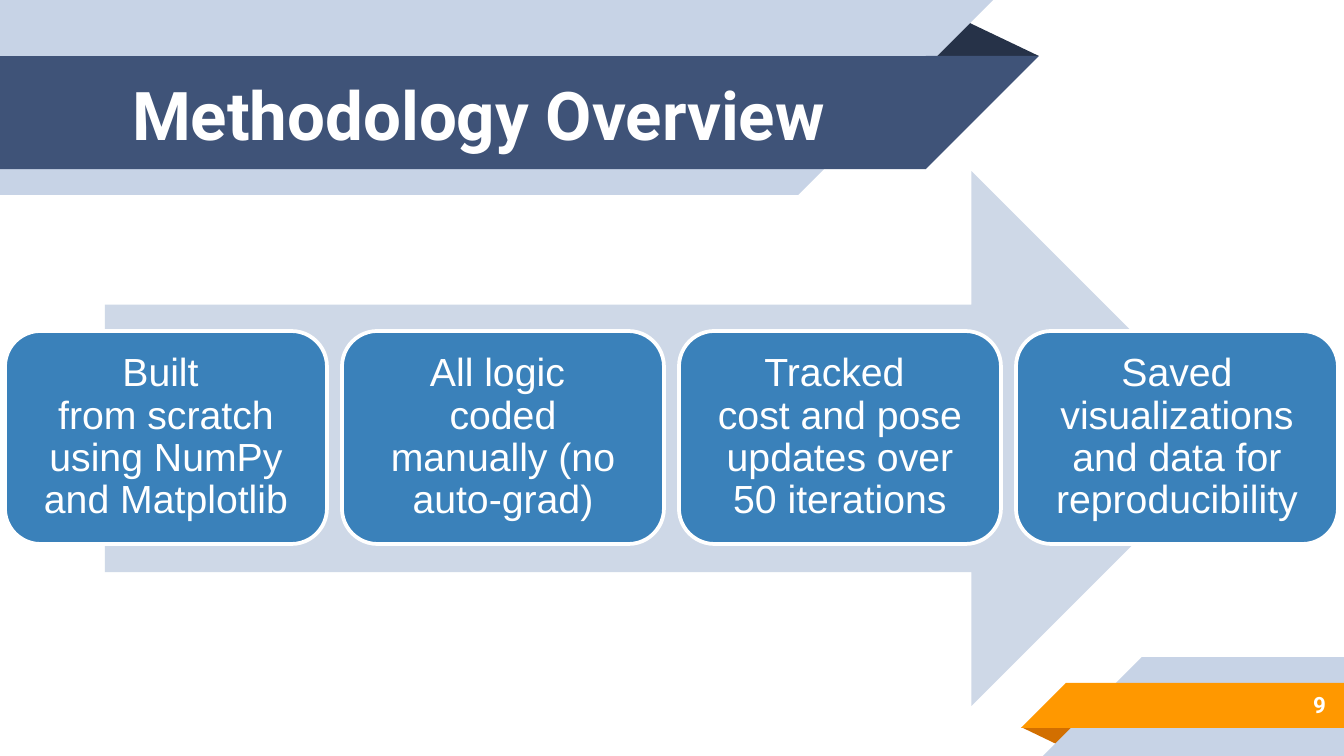
from lxml import etree
from pptx import Presentation
from pptx.dml.color import RGBColor as RGB
from pptx.enum.shapes import MSO_SHAPE as SHAPE
from pptx.enum.text import MSO_ANCHOR as ANCHOR, PP_ALIGN as ALIGN
from pptx.oxml.ns import qn
from pptx.util import Emu, Pt

THEME = {
    "pale": "C7D3E6", "navy": "3F5378", "navy_fold": "263248",
    "orange": "FF9800", "orange_fold": "D26F00",
    "arrow": "CED8E7", "step": "3A81BA", "white": "FFFFFF",
    "heading_font": "Roboto", "body_font": "Arial",
    "title_size": 36, "step_size": 21, "number_size": 12,
}
SCALE = 9144000 / 1344  # EMU per px

prs = Presentation()
prs.slide_width, prs.slide_height = Emu(int(1344 * SCALE)), Emu(int(756 * SCALE))
slide = prs.slides.add_slide(prs.slide_layouts[6])


def add_block(kind, box, color, rotation=0, flip=False):
    block = slide.shapes.add_shape(kind, *(Emu(round(v * SCALE)) for v in box))
    block.shadow.inherit = False
    block.fill.solid()
    block.fill.fore_color.rgb = RGB.from_string(THEME[color])
    block.line.fill.background()
    block.rotation = rotation
    if flip:
        block.element.spPr.find(qn("a:xfrm")).set("flipH", "1")
    return block


def write(holder, text, size, font="body_font", bold=False, align=ALIGN.LEFT,
          inset=13, spacing=1.0):
    frame = holder.text_frame
    frame.word_wrap = True
    frame.vertical_anchor = ANCHOR.MIDDLE
    frame.margin_left = frame.margin_right = Emu(round(inset * SCALE))
    frame.margin_top = frame.margin_bottom = Emu(round(inset * SCALE))
    paragraph = frame.paragraphs[0]
    paragraph.text = text
    paragraph.alignment = align
    paragraph.line_spacing = spacing
    for run in paragraph.runs:
        run.font.size = Pt(THEME[size])
        run.font.name = THEME[font]
        run.font.bold = bold
        run.font.color.rgb = RGB.from_string(THEME["white"])
    return paragraph


# Title banner: slanted bands, right angles turned to the top left
banner_fold = add_block(SHAPE.ISOSCELES_TRIANGLE, (925, 19, 114, 37), "navy_fold")
banner_fold.adjustments[0] = 0.32
for top, width, height, color in ((0, 798, 195, "pale"), (56, 926, 113, "navy")):
    add_block(SHAPE.RECTANGLE, (0, top, width, height), color, 180, True)
    add_block(SHAPE.RIGHT_TRIANGLE, (width, top, height, height), color, 180, True)

# Page number corner: slanted bands running off the right edge
corner_fold = add_block(SHAPE.ISOSCELES_TRIANGLE, (1021, 727, 58, 19), "orange_fold", 180)
corner_fold.adjustments[0] = 0.32
for left, top, height, color in ((1142, 657, 99, "pale"), (1066, 683, 45, "orange")):
    add_block(SHAPE.RECTANGLE, (left, top, 1344 - left, height), color, flip=True)
    add_block(SHAPE.RIGHT_TRIANGLE, (left - height, top, height, height), color, flip=True)

# Title with a soft text shadow
title = slide.shapes.add_textbox(*(Emu(round(v * SCALE)) for v in (119, 57, 1089, 113)))
heading = write(title, "Methodology Overview", "title_size", "heading_font", bold=True)
heading_fill = heading.runs[0].font.element.find(qn("a:solidFill")) if hasattr(
    heading.runs[0].font, "element") else heading.runs[0]._r.rPr.find(qn("a:solidFill"))
effects = etree.Element(qn("a:effectLst"))
shadow = etree.SubElement(effects, qn("a:outerShdw"), blurRad="38100", dist="38100",
                          dir="2700000", algn="tl")
shadow_color = etree.SubElement(shadow, qn("a:srgbClr"), val="000000")
etree.SubElement(shadow_color, qn("a:alpha"), val="43000")
heading_fill.addnext(effects)

# Page number
number = slide.shapes.add_textbox(*(Emu(round(v * SCALE)) for v in (1120, 681, 219, 47)))
write(number, "9", "number_size", "heading_font", bold=True, align=ALIGN.RIGHT)

# Process arrow with its four steps
add_block(SHAPE.RIGHT_ARROW, (105, 171, 1134, 535), "arrow")
steps = (
    "Built \vfrom scratch using NumPy and Matplotlib",
    "All logic \vcoded manually (no auto-grad)",
    "Tracked \vcost and pose updates over 50 iterations",
    "Saved visualizations and data for reproducibility",
)
for index, text in enumerate(steps):
    step = add_block(SHAPE.ROUNDED_RECTANGLE, (5 + 337 * index, 331, 322, 213), "step")
    step.line.color.rgb = RGB.from_string(THEME["white"])
    step.line.width = Pt(2)
    write(step, text, "step_size", align=ALIGN.CENTER, inset=21, spacing=0.9)

prs.save("out.pptx")
